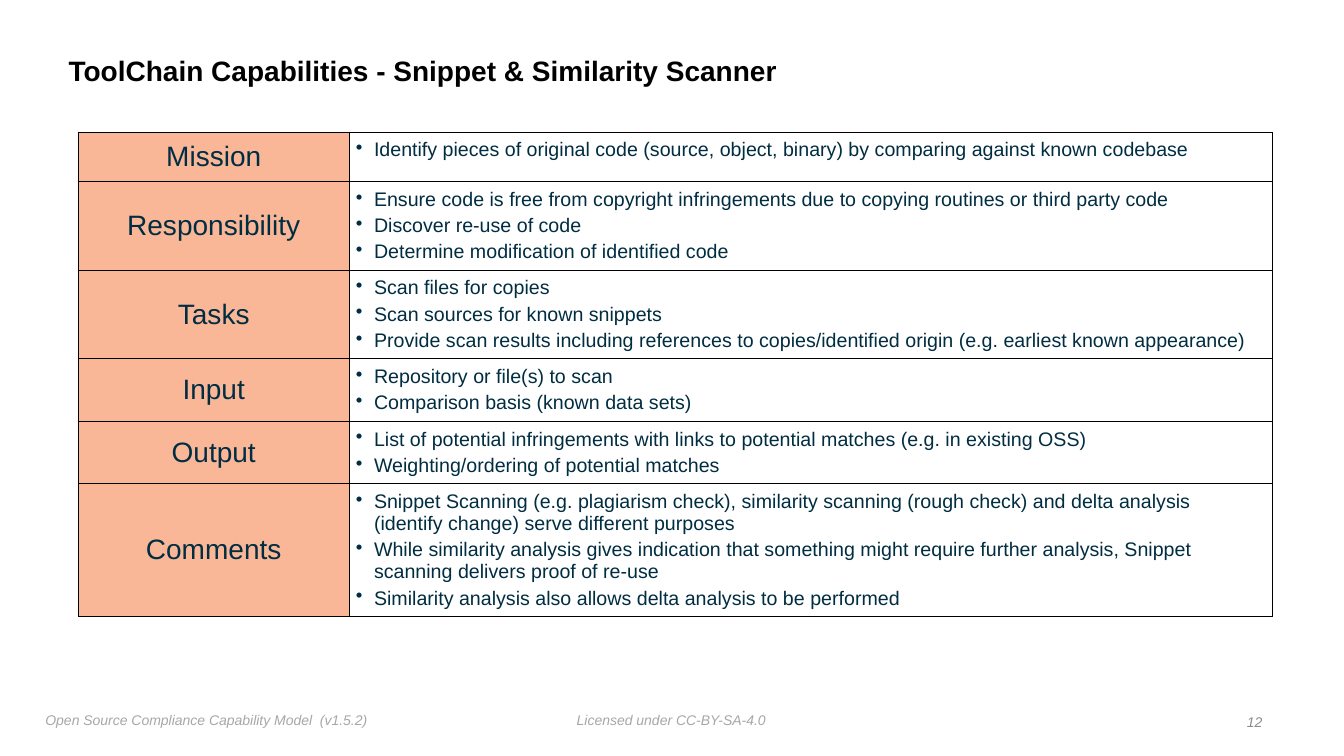
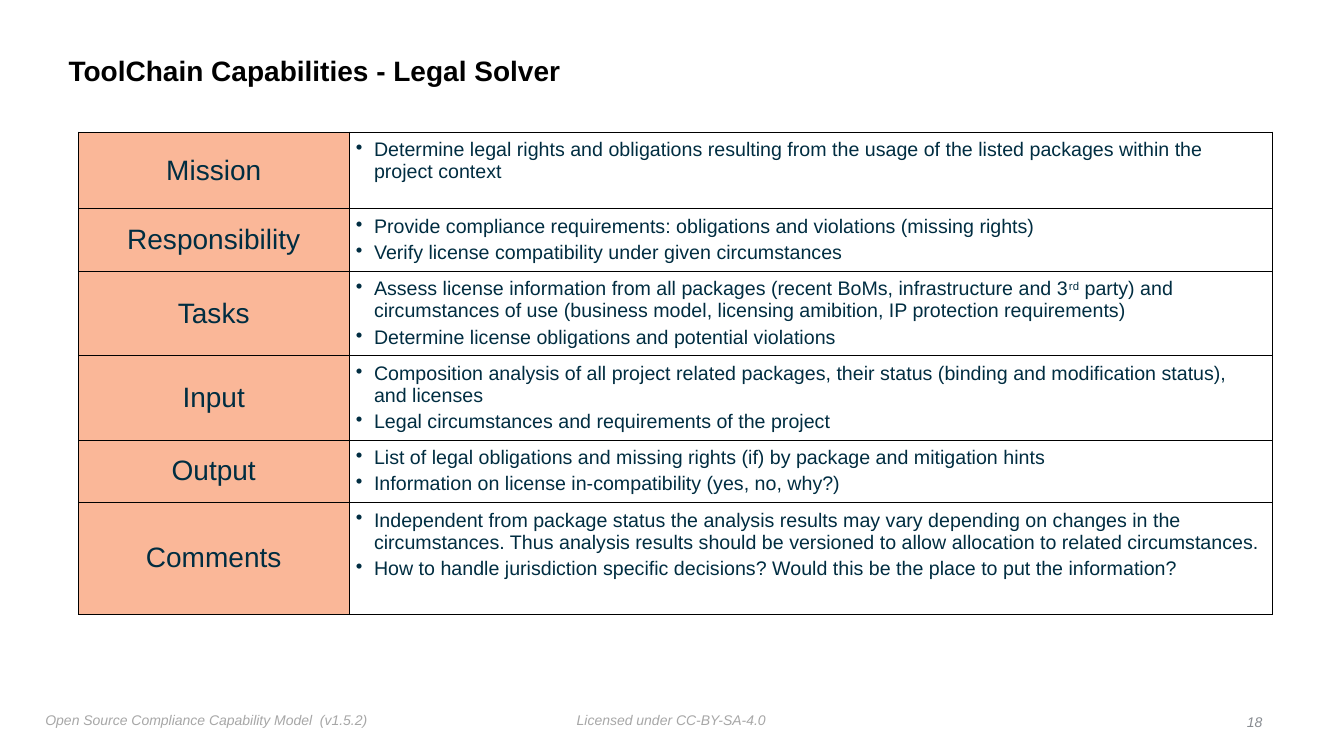
import dataclasses

import lxml.etree
import pptx
import pptx.dml.color
import pptx.enum.text
import pptx.oxml.ns
import pptx.presentation
import pptx.slide
import pptx.table
import pptx.text.text
import pptx.util

Inches = pptx.util.Inches
Pt = pptx.util.Pt
RGBColor = pptx.dml.color.RGBColor
Align = pptx.enum.text.PP_ALIGN
Anchor = pptx.enum.text.MSO_ANCHOR
qn = pptx.oxml.ns.qn

FONT = "Arial"
BLACK = RGBColor(0x00, 0x00, 0x00)
NAVY = RGBColor(0x00, 0x2D, 0x41)
PEACH = RGBColor(0xFA, 0xB7, 0x98)
FOOTER_GREY = RGBColor(0xA7, 0xA7, 0xA7)
NUMBER_GREY = RGBColor(0x88, 0x8C, 0x91)

TITLE_ONLY = 5
TABLE_LEFT, TABLE_TOP = 0.78, 1.31
COLUMN_WIDTHS = (2.68, 9.16)
BULLET_INDENT = Inches(0.18)


@dataclasses.dataclass(frozen=True)
class Row:
    label: str
    height: float
    bullets: tuple[str, ...]


@dataclasses.dataclass(frozen=True)
class Capability:
    name: str
    number: int
    rows: tuple[Row, ...]


@dataclasses.dataclass(frozen=True)
class Footer:
    text: str
    left: float
    width: float


FOOTERS = (
    Footer("Licensed under CC-BY-SA-4.0", 5.67, 1.99),
    Footer("Open Source Compliance Capability Model  (v1.5.2)", 0.4, 3.32),
)

CAPABILITIES = (
    Capability("Snippet & Similarity Scanner", 12, (
        Row("Mission", 0.49, (
            "Identify pieces of original code (source, object, binary) by comparing "
            "against known codebase",
        )),
        Row("Responsibility", 0.88, (
            "Ensure code is free from copyright infringements due to copying routines "
            "or third party code",
            "Discover re-use of code",
            "Determine modification of identified code",
        )),
        Row("Tasks", 0.88, (
            "Scan files for copies",
            "Scan sources for known snippets",
            "Provide scan results including references to copies/identified origin "
            "(e.g. earliest known appearance)",
        )),
        Row("Input", 0.62, (
            "Repository or file(s) to scan",
            "Comparison basis (known data sets)",
        )),
        Row("Output", 0.62, (
            "List of potential infringements with links to potential matches "
            "(e.g. in existing OSS)",
            "Weighting/ordering of potential matches",
        )),
        Row("Comments", 1.31, (
            "Snippet Scanning (e.g. plagiarism check), similarity scanning (rough check) "
            "and delta analysis (identify change) serve different purposes",
            "While similarity analysis gives indication that something might require "
            "further analysis, Snippet scanning delivers proof of re-use",
            "Similarity analysis also allows delta analysis to be performed",
        )),
    )),
    Capability("Legal Solver", 18, (
        Row("Mission", 0.76, (
            "Determine legal rights and obligations resulting from the usage of the "
            "listed packages within the project context",
        )),
        Row("Responsibility", 0.62, (
            "Provide compliance requirements: obligations and violations (missing rights)",
            "Verify license compatibility under given circumstances",
        )),
        Row("Tasks", 0.83, (
            "Assess license information from all packages (recent BoMs, infrastructure "
            "and 3^rd^ party) and circumstances of use (business model, licensing "
            "amibition, IP protection requirements)",
            "Determine license obligations and potential violations",
        )),
        Row("Input", 0.83, (
            "Composition analysis of all project related packages, their status "
            "(binding and modification status), and licenses",
            "Legal circumstances and requirements of the project",
        )),
        Row("Output", 0.62, (
            "List of legal obligations and missing rights (if) by package and "
            "mitigation hints",
            "Information on license in-compatibility (yes, no, why?)",
        )),
        Row("Comments", 1.11, (
            "Independent from package status the analysis results may vary depending on "
            "changes in the circumstances. Thus analysis results should be versioned to "
            "allow allocation to related circumstances.",
            "How to handle jurisdiction specific decisions? Would this be the place to "
            "put the information?",
        )),
    )),
)


def write(
    p: pptx.text.text._Paragraph,
    text: str,
    *,
    size: float,
    color: RGBColor,
    bold: bool = False,
    italic: bool = False,
    align: Align = Align.LEFT,
) -> None:
    """Write text into a paragraph; a part between carets is superscript."""
    p.alignment = align
    for i, part in enumerate(text.split("^")):
        r = p.add_run()
        r.text = part
        r.font.name = FONT
        r.font.size = Pt(size)
        r.font.bold = bold
        r.font.italic = italic
        r.font.color.rgb = color
        if i % 2:
            r.font._element.set("baseline", "30000")


def set_insets(box: pptx.text.text.TextFrame | pptx.table._Cell, inset: float) -> None:
    box.margin_left = box.margin_right = Inches(inset)
    box.margin_top = box.margin_bottom = Inches(inset)


def add_small_text(
    s: pptx.slide.Slide,
    text: str,
    left: float,
    top: float,
    width: float,
    color: RGBColor,
    align: Align = Align.LEFT,
) -> pptx.shapes.autoshape.Shape:
    sp = s.shapes.add_textbox(Inches(left), Inches(top), Inches(width), Inches(0.25))
    tf = sp.text_frame
    tf.word_wrap = False
    set_insets(tf, 0.05)
    write(tf.paragraphs[0], text, size=10, color=color, italic=True, align=align)
    return sp


def add_title(s: pptx.slide.Slide, text: str) -> None:
    sp = s.shapes.title
    sp.left, sp.top = Inches(0.63), Inches(0.39)
    sp.width, sp.height = Inches(10.75), Inches(0.65)
    tf = sp.text_frame
    tf.word_wrap = True
    tf.auto_size = pptx.enum.text.MSO_AUTO_SIZE.NONE
    tf.vertical_anchor = Anchor.MIDDLE
    set_insets(tf, 0.05)
    p = tf.paragraphs[0]
    p.line_spacing = 0.9
    write(p, text, size=20, color=BLACK, bold=True)


def set_borders(cell: pptx.table._Cell) -> None:
    tc_pr = cell._tc.get_or_add_tcPr()
    for i, side in enumerate(("lnL", "lnR", "lnT", "lnB")):
        ln = lxml.etree.Element(qn(f"a:{side}"), w=str(Pt(0.5)))
        fill = lxml.etree.SubElement(ln, qn("a:solidFill"))
        lxml.etree.SubElement(fill, qn("a:srgbClr"), val=str(BLACK))
        tc_pr.insert(i, ln)


def add_bullet(p: pptx.text.text._Paragraph, text: str) -> None:
    p_pr = p._p.get_or_add_pPr()
    p_pr.set("marL", str(BULLET_INDENT))
    p_pr.set("indent", str(-BULLET_INDENT))
    lxml.etree.SubElement(p_pr, qn("a:buChar"), char="•")
    write(p, text, size=14, color=NAVY)


def fill_row(label: pptx.table._Cell, detail: pptx.table._Cell, row: Row) -> None:
    label.fill.solid()
    label.fill.fore_color.rgb = PEACH
    label.vertical_anchor = Anchor.MIDDLE
    set_insets(label, 0)
    write(label.text_frame.paragraphs[0], row.label, size=20, color=NAVY, align=Align.CENTER)

    detail.fill.background()
    set_insets(detail, 0.07)
    tf = detail.text_frame
    for i, bullet in enumerate(row.bullets):
        p = tf.add_paragraph() if i else tf.paragraphs[0]
        add_bullet(p, bullet)
        if i:
            p.space_before = Pt(3)

    for cell in (label, detail):
        set_borders(cell)


def add_capability_table(s: pptx.slide.Slide, rows: tuple[Row, ...]) -> None:
    table = s.shapes.add_table(
        len(rows), len(COLUMN_WIDTHS),
        Inches(TABLE_LEFT), Inches(TABLE_TOP),
        Inches(sum(COLUMN_WIDTHS)), Inches(sum(row.height for row in rows)),
    ).table
    table.first_row = table.horz_banding = False
    for column, width in zip(table.columns, COLUMN_WIDTHS):
        column.width = Inches(width)
    for i, row in enumerate(rows):
        table.rows[i].height = Inches(row.height)
        fill_row(table.cell(i, 0), table.cell(i, 1), row)


def add_capability_slide(
    prs: pptx.presentation.Presentation, capability: Capability
) -> pptx.slide.Slide:
    s = prs.slides.add_slide(prs.slide_layouts[TITLE_ONLY])
    add_title(s, f"ToolChain Capabilities - {capability.name}")
    add_capability_table(s, capability.rows)
    add_small_text(s, str(capability.number), 12.3, 7.03, 0.27, NUMBER_GREY, Align.RIGHT)
    return s


def move_footers_to_layout(s: pptx.slide.Slide) -> None:
    for footer in FOOTERS:
        sp = add_small_text(s, footer.text, footer.left, 7.01, footer.width, FOOTER_GREY)
        s.slide_layout.shapes.element.append(sp.element)


def main() -> None:
    prs = pptx.Presentation()
    prs.slide_width, prs.slide_height = Inches(13.33), Inches(7.5)
    slides = [add_capability_slide(prs, capability) for capability in CAPABILITIES]
    move_footers_to_layout(slides[0])
    prs.save("out.pptx")


if __name__ == "__main__":
    main()
